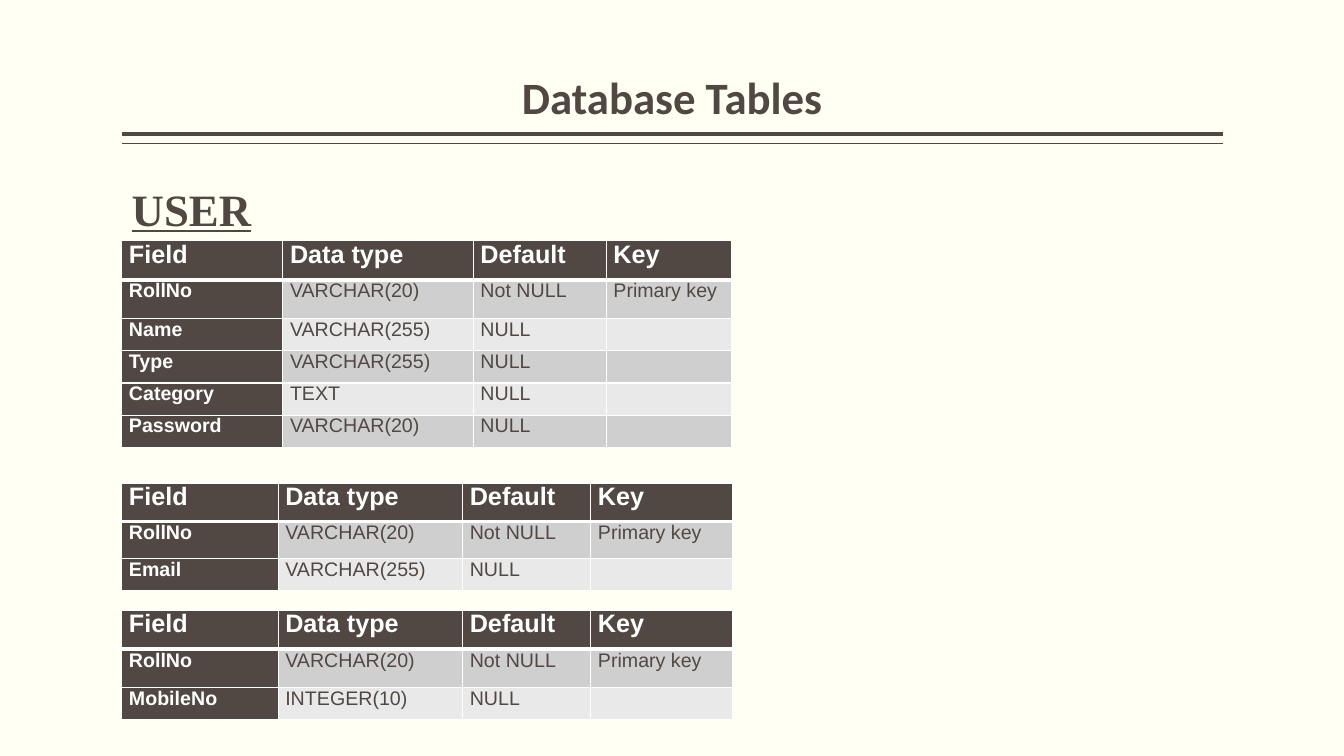
from lxml import etree
from pptx import Presentation
from pptx.dml.color import RGBColor
from pptx.enum.shapes import MSO_CONNECTOR
from pptx.enum.text import MSO_ANCHOR, MSO_AUTO_SIZE, PP_ALIGN
from pptx.oxml.ns import qn
from pptx.util import Cm, Pt

DARK = RGBColor(0x51, 0x48, 0x43)
CREAM = RGBColor(0xFF, 0xFF, 0xF3)
WHITE = RGBColor(0xFF, 0xFF, 0xFF)
BANDS = (RGBColor(0xD0, 0xCF, 0xCF), RGBColor(0xE9, 0xE9, 0xE9))

STRAIGHT = MSO_CONNECTOR.STRAIGHT
BOTTOM = MSO_ANCHOR.BOTTOM
CENTER = PP_ALIGN.CENTER
NO_FIT = MSO_AUTO_SIZE.NONE
GROW = MSO_AUTO_SIZE.SHAPE_TO_FIT_TEXT

LEFT = Cm(3.07)
WIDTH = Cm(27.74)

HEAD = ("Field", "Data type", "Default", "Key")
ROLL = ("RollNo", "VARCHAR(20)", "Not NULL", "Primary key")
USER = (
    HEAD,
    ROLL,
    ("Name", "VARCHAR(255)", "NULL", ""),
    ("Type", "VARCHAR(255)", "NULL", ""),
    ("Category", "TEXT", "NULL", ""),
    ("Password", "VARCHAR(20)", "NULL", ""),
)
EMAIL = (HEAD, ROLL, ("Email", "VARCHAR(255)", "NULL", ""))
MOBILE = (HEAD, ROLL, ("MobileNo", "INTEGER(10)", "NULL", ""))

USER_COLS = (4.06, 4.8, 3.35, 3.15)
SIDE_COLS = (3.94, 4.65, 3.23, 3.56)


def set_font(par, name, size, color, bold=True):
    font = par.font
    font.name, font.size, font.bold = name, Pt(size), bold
    font.color.rgb = color


def add_title(slide, text):
    title = slide.shapes.title
    title.left, title.top, title.width, title.height = LEFT, Cm(0.2), WIDTH, Cm(3.05)
    frame = title.text_frame
    frame.text = text
    frame.auto_size = NO_FIT
    frame.vertical_anchor = BOTTOM
    frame.margin_left = frame.margin_right = 0
    par = frame.paragraphs[0]
    par.alignment = CENTER
    par.line_spacing = 0.9
    set_font(par, "Calibri", 32, DARK)


def add_rule(slide, top, weight):
    rule = slide.shapes.add_connector(STRAIGHT, LEFT, top, LEFT + WIDTH, top)
    rule.line.color.rgb = DARK
    rule.line.width = Pt(weight)
    etree.SubElement(rule._element.spPr, qn("a:effectLst"))


def add_label(slide, text):
    box = slide.shapes.add_textbox(LEFT, Cm(4.45), Cm(3.56), Cm(1.63))
    frame = box.text_frame
    frame.word_wrap = False
    frame.auto_size = GROW
    frame.text = text
    par = frame.paragraphs[0]
    set_font(par, "Times New Roman", 32, DARK)
    par.font.underline = True


def set_edges(cell, top, bottom):
    """Draw white borders, with the given weights above and below."""
    props = cell._tc.get_or_add_tcPr()
    weights = (("lnL", 1), ("lnR", 1), ("lnT", top), ("lnB", bottom))
    for place, (tag, weight) in enumerate(weights):
        edge = etree.Element(qn(f"a:{tag}"), w=str(Pt(weight)))
        fill = etree.SubElement(edge, qn("a:solidFill"))
        etree.SubElement(fill, qn("a:srgbClr"), val=str(WHITE))
        props.insert(place, edge)


def fill_cell(cell, text, row, col):
    strong = row == 0 or col == 0
    cell.margin_left = cell.margin_right = Cm(0.18)
    cell.margin_top = cell.margin_bottom = 0
    cell.text = text
    size = 14 if row else 18
    set_font(cell.text_frame.paragraphs[0], "Arial", size, WHITE if strong else DARK, strong)
    cell.fill.solid()
    cell.fill.fore_color.rgb = DARK if strong else BANDS[(row - 1) % 2]
    set_edges(cell, 3 if row == 1 else 1, 3 if row == 0 else 1)


def add_grid(slide, top, data, cols, head, first, rest):
    """Place a table; head, first and rest are row heights in cm."""
    highs = [head, first] + [rest] * (len(data) - 2)
    table = slide.shapes.add_table(
        len(data), len(cols), LEFT, Cm(top), Cm(sum(cols)), Cm(sum(highs))
    ).table
    for column, wide in zip(table.columns, cols):
        column.width = Cm(wide)
    for row, (values, high) in enumerate(zip(data, highs)):
        table.rows[row].height = Cm(high)
        for col, text in enumerate(values):
            fill_cell(table.cell(row, col), text, row, col)


def main():
    deck = Presentation()
    deck.slide_width, deck.slide_height = Cm(33.87), Cm(19.05)
    slide = deck.slides.add_slide(deck.slide_layouts[5])
    slide.background.fill.solid()
    slide.background.fill.fore_color.rgb = CREAM

    add_rule(slide, Cm(3.38), 3)
    add_rule(slide, Cm(3.62), 1)
    add_title(slide, "Database Tables")
    add_grid(slide, 6.07, USER, USER_COLS, 0.99, 0.97, 0.81)
    add_label(slide, "USER")
    add_grid(slide, 12.17, EMAIL, SIDE_COLS, 0.97, 0.94, 0.79)
    add_grid(slide, 15.37, MOBILE, SIDE_COLS, 0.99, 0.97, 0.81)
    deck.save("out.pptx")


if __name__ == "__main__":
    main()
